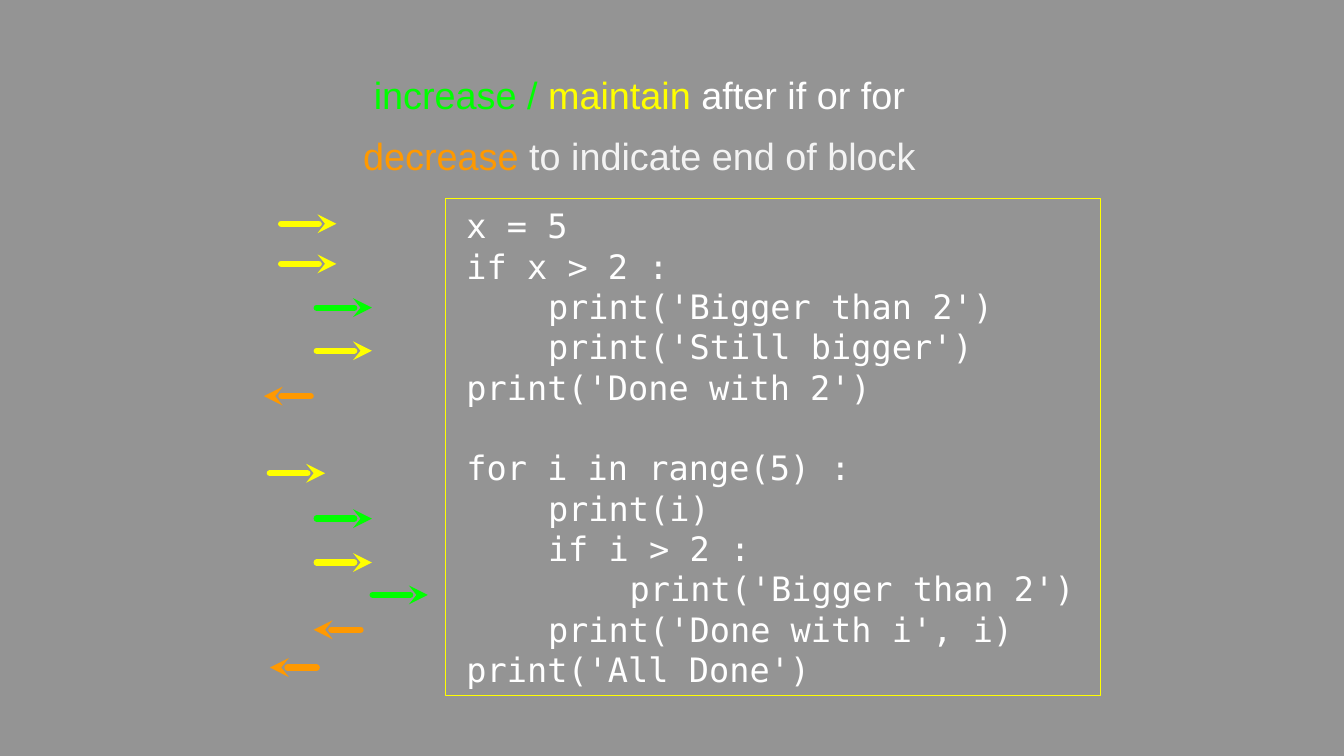
from typing import NamedTuple

from lxml.etree import SubElement
from pptx import Presentation
from pptx.dml.color import RGBColor
from pptx.enum.shapes import MSO_CONNECTOR, MSO_SHAPE
from pptx.enum.text import MSO_ANCHOR, MSO_AUTO_SIZE, PP_ALIGN
from pptx.oxml.ns import qn
from pptx.util import Inches, Pt

GRAY = RGBColor(0x94, 0x94, 0x94)
WHITE = RGBColor(0xFF, 0xFF, 0xFF)
PALE = RGBColor(0xF3, 0xF3, 0xF3)
GREEN = RGBColor(0x00, 0xFF, 0x00)
YELLOW = RGBColor(0xFF, 0xFF, 0x00)
ORANGE = RGBColor(0xFF, 0x99, 0x00)

CODE_SIZE = 32
LINE_PITCH = 38.4
CHAR_WIDTH = 0.27  # inches per monospaced character
RIGHT, LEFT = 0.73, -0.62  # arrow lengths, signed by direction


class CodeLine(NamedTuple):
    depth: int
    text: str
    starts_block: bool = False


class Arrow(NamedTuple):
    tip_x: float
    y: float
    length: float
    color: RGBColor


TITLE = [
    [("increase / ", GREEN), ("maintain ", YELLOW), ("after if or for", WHITE)],
    [("decrease ", ORANGE), ("to indicate end of block", PALE)],
]

CODE = [
    CodeLine(0, "x = 5"),
    CodeLine(0, "if x > 2 :"),
    CodeLine(1, "print('Bigger than 2')"),
    CodeLine(1, "print('Still bigger')"),
    CodeLine(0, "print('Done with 2')"),
    CodeLine(0, "for i in range(5) :", starts_block=True),
    CodeLine(1, "print(i)"),
    CodeLine(1, "if i > 2 :"),
    CodeLine(2, "print('Bigger than 2')"),
    CodeLine(1, "print('Done with i', i)"),
    CodeLine(0, "print('All Done')"),
]

ARROWS = [
    Arrow(4.45, 2.96, RIGHT, YELLOW),
    Arrow(4.45, 3.49, RIGHT, YELLOW),
    Arrow(4.92, 4.07, RIGHT, GREEN),
    Arrow(4.92, 4.64, RIGHT, YELLOW),
    Arrow(3.49, 5.24, LEFT, ORANGE),
    Arrow(4.30, 6.26, RIGHT, YELLOW),
    Arrow(4.92, 6.86, RIGHT, GREEN),
    Arrow(4.92, 7.44, RIGHT, YELLOW),
    Arrow(5.66, 7.87, RIGHT, GREEN),
    Arrow(4.15, 8.33, LEFT, ORANGE),
    Arrow(3.57, 8.83, LEFT, ORANGE),
]


def prepare_frame(tf) -> None:
    tf.word_wrap = True
    tf.auto_size = MSO_AUTO_SIZE.NONE
    tf.vertical_anchor = MSO_ANCHOR.MIDDLE
    tf.margin_left = tf.margin_top = tf.margin_right = tf.margin_bottom = 0


def paragraph(tf, index: int):
    return tf.paragraphs[0] if index == 0 else tf.add_paragraph()


def add_run(p, text: str, font: str, size: float, color: RGBColor) -> None:
    r = p.add_run()
    r.text = text
    r.font.name = font
    r.font.size = Pt(size)
    r.font.color.rgb = color


def fill_title(sp) -> None:
    sp.left, sp.top = Inches(4.53), Inches(1.05)
    sp.width, sp.height = Inches(7.86), Inches(1.37)
    tf = sp.text_frame
    prepare_frame(tf)
    tf.margin_bottom = Inches(0.17)
    for i, runs in enumerate(TITLE):
        p = paragraph(tf, i)
        p.alignment = PP_ALIGN.CENTER
        p.space_before = Pt(15 if i else 0)
        for text, color in runs:
            add_run(p, text, "Arial", 36, color)


def add_code_box(s) -> None:
    sp = s.shapes.add_shape(MSO_SHAPE.RECTANGLE, Inches(5.9), Inches(2.63),
                            Inches(8.66), Inches(6.57))
    sp.shadow.inherit = False
    sp.fill.background()
    sp.line.color.rgb = YELLOW
    sp.line.width = Pt(1)
    tf = sp.text_frame
    prepare_frame(tf)
    for i, line in enumerate(CODE):
        p = paragraph(tf, i)
        p.alignment = PP_ALIGN.LEFT
        p.line_spacing = Pt(LINE_PITCH)
        p.space_before = Pt(LINE_PITCH if line.starts_block else 0)
        # One character of padding, then four per indentation level
        margin = Inches(CHAR_WIDTH * (1 + 4 * line.depth))
        p._p.get_or_add_pPr().set("marL", str(margin))
        add_run(p, line.text, "DejaVu Sans Mono", CODE_SIZE, WHITE)


def add_arrow(s, arrow: Arrow) -> None:
    y = Inches(arrow.y)
    c = s.shapes.add_connector(MSO_CONNECTOR.STRAIGHT, Inches(arrow.tip_x), y,
                               Inches(arrow.tip_x - arrow.length), y)
    c.line.color.rgb = arrow.color
    c.line.width = Pt(6)
    ln = c.line._get_or_add_ln()
    ln.set("cap", "rnd")
    SubElement(ln, qn("a:round"))
    SubElement(ln, qn("a:headEnd")).set("type", "stealth")
    SubElement(c._element.spPr, qn("a:effectLst"))


def main() -> None:
    prs = Presentation()
    prs.slide_width, prs.slide_height = Inches(17.78), Inches(10)
    s = prs.slides.add_slide(prs.slide_layouts[5])
    s.background.fill.solid()
    s.background.fill.fore_color.rgb = GRAY

    # Code listing under its heading
    fill_title(s.shapes.title)
    add_code_box(s)

    # Indentation change at each line of code
    for arrow in ARROWS:
        add_arrow(s, arrow)

    prs.save("out.pptx")


if __name__ == "__main__":
    main()
